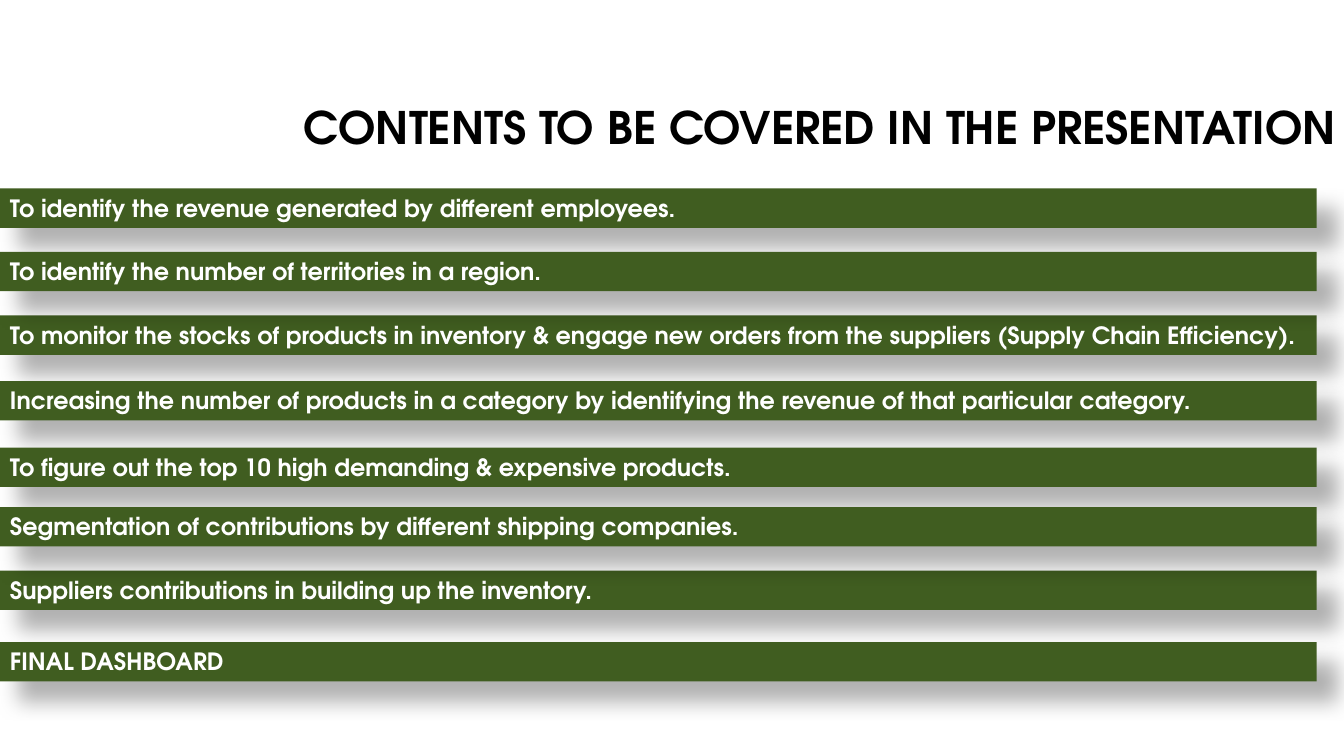
from dataclasses import dataclass

from lxml.etree import SubElement
from pptx import Presentation
from pptx.dml.color import RGBColor
from pptx.enum.shapes import MSO_SHAPE
from pptx.enum.text import MSO_ANCHOR, MSO_AUTO_SIZE, PP_ALIGN
from pptx.oxml.ns import qn
from pptx.shapes.autoshape import Shape
from pptx.util import Inches, Pt

SLIDE_WIDTH, SLIDE_HEIGHT = Inches(13.33), Inches(7.5)


@dataclass(frozen=True)
class Theme:
    font: str = "TeX Gyre Adventor"
    title_color: str = "000000"
    bar_fill: str = "405D20"
    bar_text: str = "FFFFFF"
    shadow: str = "000000"
    title_size: int = 32
    bar_size: int = 17


@dataclass(frozen=True)
class Area:
    """A box in percent of the slide's width and height."""
    left: float
    top: float
    width: float
    height: float

    def lengths(self) -> tuple[int, int, int, int]:
        return (int(SLIDE_WIDTH * self.left / 100), int(SLIDE_HEIGHT * self.top / 100),
                int(SLIDE_WIDTH * self.width / 100), int(SLIDE_HEIGHT * self.height / 100))


@dataclass(frozen=True)
class Topic:
    top: float
    wording: str


THEME = Theme()
TITLE_AREA = Area(21.83, 12.53, 80.2, 8.53)
BAR_WIDTH, BAR_HEIGHT = 97.97, 5.2

# Back to front: a bar's shadow falls on the bars listed before it.
TOPICS = (
    Topic(41.73, "To monitor the stocks of products in inventory & engage new orders "
                 "from the suppliers (Supply Chain Efficiency)."),
    Topic(24.93, "To identify the revenue generated by different employees."),
    Topic(50.4, "Increasing the number of products in a category by identifying "
                "the revenue of that particular category."),
    Topic(59.2, "To figure out the top 10 high demanding & expensive products."),
    Topic(75.47, "Suppliers contributions in building up the inventory."),
    Topic(67.07, "Segmentation of contributions by different shipping companies."),
    Topic(84.93, "FINAL DASHBOARD"),
    Topic(33.33, "To identify the number of territories in a region."),
)


def write(holder: Shape, wording: str, size: int, color: str) -> None:
    frame = holder.text_frame
    frame_format = {"word_wrap": True, "auto_size": MSO_AUTO_SIZE.SHAPE_TO_FIT_TEXT,
                    "vertical_anchor": MSO_ANCHOR.TOP}
    for name, value in frame_format.items():
        setattr(frame, name, value)
    line = frame.paragraphs[0]
    line.alignment = PP_ALIGN.LEFT
    run = line.add_run()
    run.text = wording
    for name, value in {"name": THEME.font, "size": Pt(size), "bold": True}.items():
        setattr(run.font, name, value)
    run.font.color.rgb = RGBColor.from_string(color)


def cast_shadow(bar: Shape) -> None:
    """Give the bar a soft shadow towards the lower right."""
    bar.shadow.inherit = False
    effects = bar._element.spPr.find(qn("a:effectLst"))
    shadow = SubElement(effects, qn("a:outerShdw"), blurRad=str(Pt(15)), dist=str(Pt(18)),
                        dir=str(45 * 60000), algn="tl", rotWithShape="0")
    color = SubElement(shadow, qn("a:srgbClr"), val=THEME.shadow)
    SubElement(color, qn("a:alpha"), val="30000")


def add_bar(shapes, topic: Topic) -> None:
    area = Area(0, topic.top, BAR_WIDTH, BAR_HEIGHT)
    bar = shapes.add_shape(MSO_SHAPE.RECTANGLE, *area.lengths())
    bar.fill.solid()
    bar.fill.fore_color.rgb = RGBColor.from_string(THEME.bar_fill)
    bar.line.fill.background()
    cast_shadow(bar)
    write(bar, topic.wording, THEME.bar_size, THEME.bar_text)


def main() -> None:
    deck = Presentation()
    deck.slide_width, deck.slide_height = SLIDE_WIDTH, SLIDE_HEIGHT
    shapes = deck.slides.add_slide(deck.slide_layouts[6]).shapes
    title = shapes.add_textbox(*TITLE_AREA.lengths())
    write(title, "CONTENTS TO BE COVERED IN THE PRESENTATION",
          THEME.title_size, THEME.title_color)
    for topic in TOPICS:
        add_bar(shapes, topic)
    deck.save("out.pptx")


if __name__ == "__main__":
    main()
